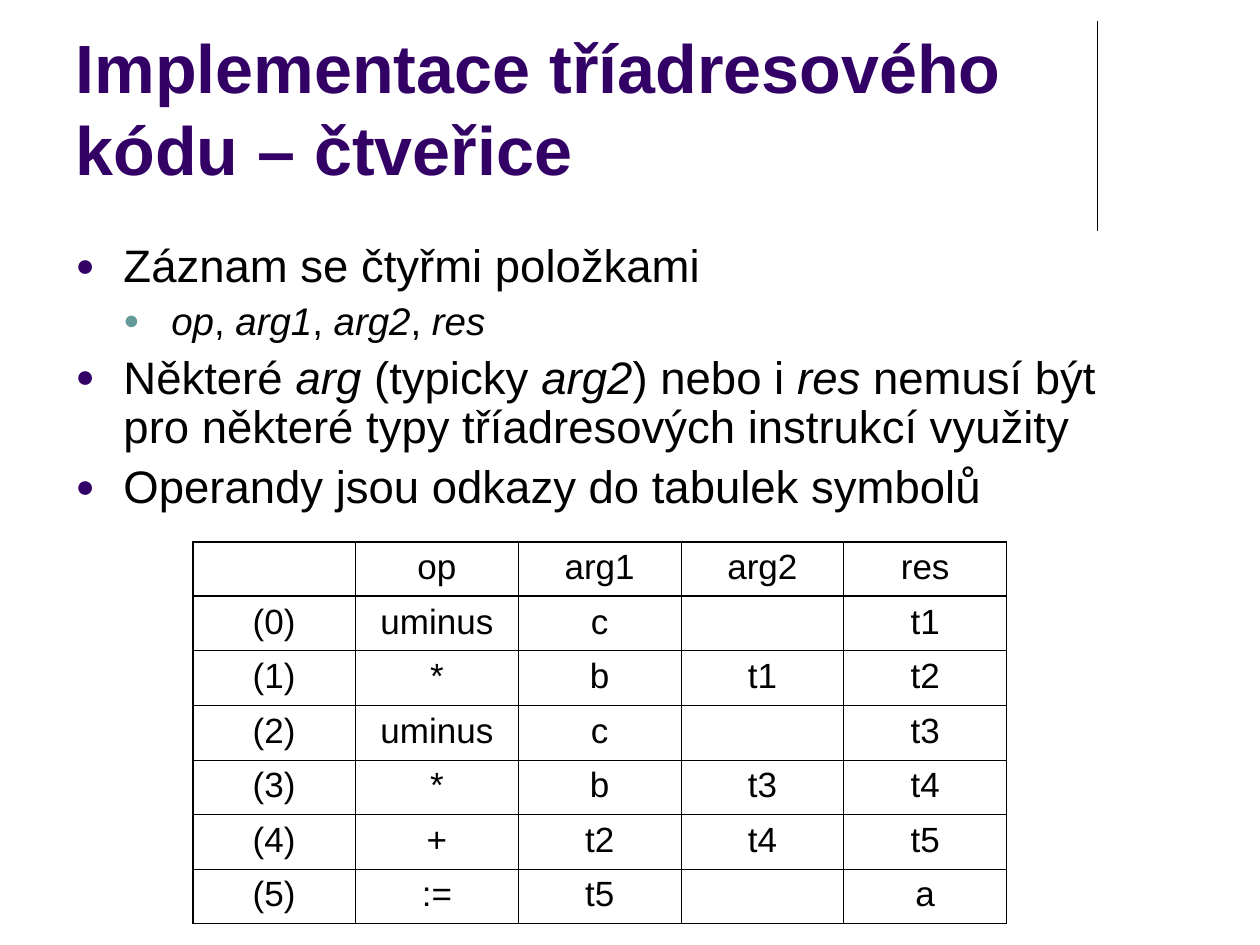
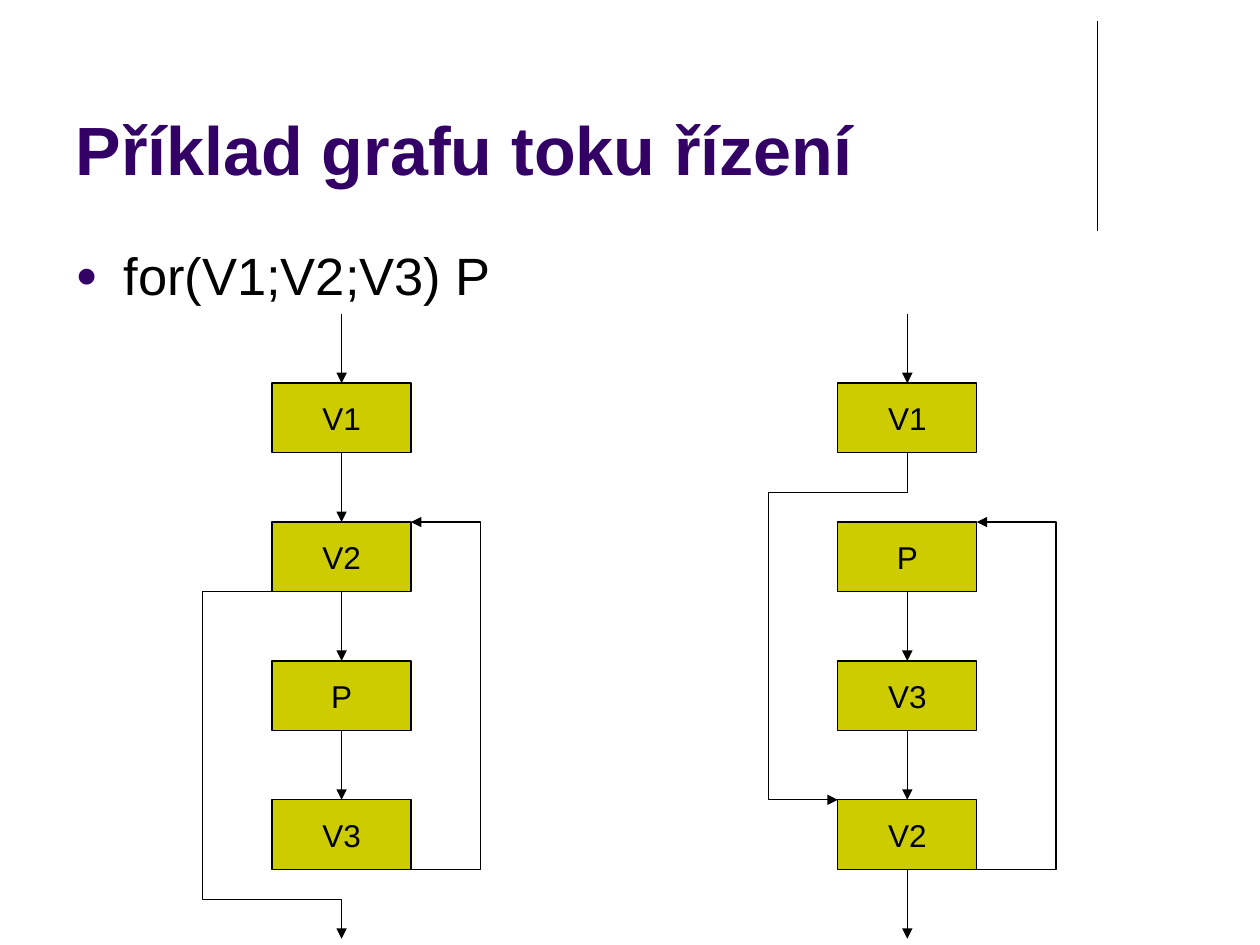
import pptx
import pptx.dml.color
import pptx.enum.shapes
import pptx.enum.text
import pptx.oxml
import pptx.oxml.ns
import pptx.util

Inches, Pt = pptx.util.Inches, pptx.util.Pt
ALIGN, ANCHOR = pptx.enum.text.PP_ALIGN, pptx.enum.text.MSO_ANCHOR
NS = pptx.oxml.ns.nsdecls("a")

INK, PURPLE, TEAL, OLIVE = "000000", "330066", "669999", "CCCC00"
TITLE_BOX = (0.5, 0.13, 8.25, 1.42)
RULE = (8.71, 0.17, 8.71, 1.83)
INDENT = 0.38
THIN, THICK = 0.45, 1.08

# Text between underscores is italic.
QUADRUPLES = {
    "title": "Implementace tříadresového kódu – čtveřice",
    "body_box": (0.5, 1.88, 8.67, 2.42),
    "line_spacing": 0.9,
    "bullets": [
        (0, "Záznam se čtyřmi položkami"),
        (1, "_op_, _arg1_, _arg2_, _res_"),
        (0, "Některé _arg_ (typicky _arg2_) nebo i _res_ nemusí být "
            "pro některé typy tříadresových instrukcí využity"),
        (0, "Operandy jsou odkazy do tabulek symbolů"),
    ],
    "levels": [(26, 6.5, PURPLE), (22, 5.5, TEAL)],  # size, space before, bullet
}
INSTRUCTIONS = [
    ("", "op", "arg1", "arg2", "res"),
    ("(0)", "uminus", "c", "", "t1"),
    ("(1)", "*", "b", "t1", "t2"),
    ("(2)", "uminus", "c", "", "t3"),
    ("(3)", "*", "b", "t3", "t4"),
    ("(4)", "+", "t2", "t4", "t5"),
    ("(5)", ":=", "t5", "", "a"),
]
TABLE_BOX = (1.53, 4.3, 6.46, 3.03)

CONTROL_FLOW = {
    "title": "Příklad grafu toku řízení",
    "body_box": (0.5, 1.88, 9, 0.61),
    "line_spacing": 1.0,
    "bullets": [(0, "for(V1;V2;V3) P")],
    "levels": [(30, 7.5, PURPLE)],
}
# Steps stack on a grid: each is 2 columns wide and 1 row high, with 1 row between.
# Arrows join step numbers; None is the way in or out. Jumps are (column, row) points.
FLOW_TOP, FLOW_BOTTOM, FLOW_ROWS = 2.49, 7.45, 9
UNIT = (FLOW_BOTTOM - FLOW_TOP) / FLOW_ROWS
FLOWS = [
    {"left": 6.65, "steps": ["V1", "P", "V3", "V2"],
     "arrows": [(None, 0), (1, 2), (2, 3), (3, None)],
     "jumps": [[(2, 8), (3.14, 8), (3.14, 3), (2, 3)],
               [(1, 2), (1, 2.58), (-1, 2.58), (-1, 7), (0, 7)]]},
    {"left": 2.16, "steps": ["V1", "V2", "P", "V3"],
     "arrows": [(None, 0), (0, 1), (1, 2), (2, 3)],
     "jumps": [[(2, 8), (3, 8), (3, 3), (2, 3)],
               [(0, 4), (-1, 4), (-1, 8.44), (1, 8.44), (1, 9)]]},
]


def color(hex_value):
    return pptx.dml.color.RGBColor.from_string(hex_value)


def apply(target, **values):
    for name, value in values.items():
        setattr(target, name, value)


def inches(lengths):
    return [Inches(length) for length in lengths]


def place(shape, box):
    apply(shape, **dict(zip(("left", "top", "width", "height"), inches(box))))


def set_font(font, size, ink=INK, **more):
    apply(font, name="Arial", size=Pt(size), **more)
    font.color.rgb = color(ink)


def set_line(shape, arrow=False):
    apply(shape.line, width=Pt(0.75))
    shape.line.fill.solid()
    shape.line.color.rgb = color(INK)
    if arrow:
        shape.line._get_or_add_ln().append(
            pptx.oxml.parse_xml(f'<a:tailEnd {NS} type="triangle"/>'))


def add_line(shapes, ends, arrow=False):
    line = shapes.add_connector(
        pptx.enum.shapes.MSO_CONNECTOR.STRAIGHT, *inches(ends))
    set_line(line, arrow)
    line.element.spPr.append(pptx.oxml.parse_xml(f"<a:effectLst {NS}/>"))
    return line


def set_bullet(paragraph, level, ink):
    props = paragraph._p.get_or_add_pPr()
    props.set("marL", str(Inches(INDENT * (level + 1))))
    props.set("indent", str(-Inches(INDENT)))
    for xml in (f'<a:buClr {NS}><a:srgbClr val="{ink}"/></a:buClr>',
                f'<a:buSzPct {NS} val="70000"/>',
                f'<a:buFont {NS} typeface="Arial"/>',
                f'<a:buChar {NS} char="●"/>'):
        props.append(pptx.oxml.parse_xml(xml))


def add_slide(deck, content):
    """Add a slide with its title and bulleted text."""
    slide = deck.slides.add_slide(deck.slide_layouts[1])
    title, body = slide.shapes.title, slide.placeholders[1]
    place(title, TITLE_BOX)
    place(body, content["body_box"])
    title.text_frame.text = content["title"]
    heading = title.text_frame.paragraphs[0]
    heading.alignment = ALIGN.LEFT
    set_font(heading.runs[0].font, 39, PURPLE, bold=True)
    for frame, anchor in ((title.text_frame, ANCHOR.BOTTOM),
                          (body.text_frame, ANCHOR.TOP)):
        apply(frame, vertical_anchor=anchor, word_wrap=True,
              auto_size=pptx.enum.text.MSO_AUTO_SIZE.NONE)

    for number, (level, text) in enumerate(content["bullets"]):
        frame = body.text_frame
        paragraph = frame.add_paragraph() if number else frame.paragraphs[0]
        size, before, ink = content["levels"][level]
        apply(paragraph, level=level, space_before=Pt(before),
              line_spacing=content["line_spacing"])
        set_bullet(paragraph, level, ink)
        for part, words in enumerate(text.split("_")):
            if words:
                run = paragraph.add_run()
                run.text = words
                set_font(run.font, size, italic=part % 2 == 1)
    return slide


def set_borders(cell, widths):
    props = cell._tc.get_or_add_tcPr()
    for position, (side, width) in enumerate(widths.items()):
        props.insert(position, pptx.oxml.parse_xml(
            f'<a:ln{side} {NS} w="{Pt(width)}"><a:solidFill>'
            f'<a:srgbClr val="{INK}"/></a:solidFill></a:ln{side}>'))


def add_instruction_table(slide):
    rows, columns = len(INSTRUCTIONS), len(INSTRUCTIONS[0])
    table = slide.shapes.add_table(rows, columns, *inches(TABLE_BOX)).table
    apply(table, first_row=False, horz_banding=False)
    for r, instruction in enumerate(INSTRUCTIONS):
        for c, text in enumerate(instruction):
            cell = table.cell(r, c)
            cell.text = text
            cell.fill.background()
            paragraph = cell.text_frame.paragraphs[0]
            apply(paragraph, alignment=ALIGN.CENTER, space_before=Pt(5))
            for run in paragraph.runs:
                set_font(run.font, 20)
            thick = {"L": c == 0, "R": c == columns - 1,
                     "T": r <= 1, "B": r in (0, rows - 1)}
            set_borders(cell, {side: THICK if on else THIN
                               for side, on in thick.items()})


def add_step(shapes, label, left, top):
    step = shapes.add_shape(pptx.enum.shapes.MSO_SHAPE.RECTANGLE,
                            *inches((left, top, 2 * UNIT, UNIT)))
    step.shadow.inherit = False
    step.fill.solid()
    step.fill.fore_color.rgb = color(OLIVE)
    set_line(step)
    apply(step.text_frame, text=label, word_wrap=False,
          vertical_anchor=ANCHOR.MIDDLE)
    paragraph = step.text_frame.paragraphs[0]
    paragraph.alignment = ALIGN.CENTER
    set_font(paragraph.runs[0].font, 18)
    return step


def add_flow(slide, flow):
    shapes = slide.shapes.add_group_shape().shapes
    left, middle = flow["left"], flow["left"] + UNIT
    tops = [FLOW_TOP + (1 + 2 * n) * UNIT for n in range(len(flow["steps"]))]
    steps = [add_step(shapes, label, left, top)
             for label, top in zip(flow["steps"], tops)]

    for source, target in flow["arrows"]:
        start = FLOW_TOP if source is None else tops[source] + UNIT
        end = FLOW_BOTTOM if target is None else tops[target]
        arrow = add_line(shapes, (middle, start, middle, end), arrow=True)
        if source is not None:
            arrow.begin_connect(steps[source], 2)
        if target is not None:
            arrow.end_connect(steps[target], 0)

    for jump in flow["jumps"]:
        points = [inches((left + column * UNIT, FLOW_TOP + row * UNIT))
                  for column, row in jump]
        outline = shapes.build_freeform(*points[0])
        outline.add_line_segments(points[1:], close=False)
        path_shape = outline.convert_to_shape()
        path_shape.shadow.inherit = False
        path_shape.fill.background()
        set_line(path_shape, arrow=True)


def main():
    deck = pptx.Presentation()
    apply(deck, slide_width=Inches(10), slide_height=Inches(7.5))

    quadruples = add_slide(deck, QUADRUPLES)
    rule = add_line(quadruples.shapes, RULE)
    deck.slide_master.placeholders[0].element.addprevious(rule.element)
    add_instruction_table(quadruples)

    control_flow = add_slide(deck, CONTROL_FLOW)
    for flow in FLOWS:
        add_flow(control_flow, flow)
    deck.save("out.pptx")


if __name__ == "__main__":
    main()
